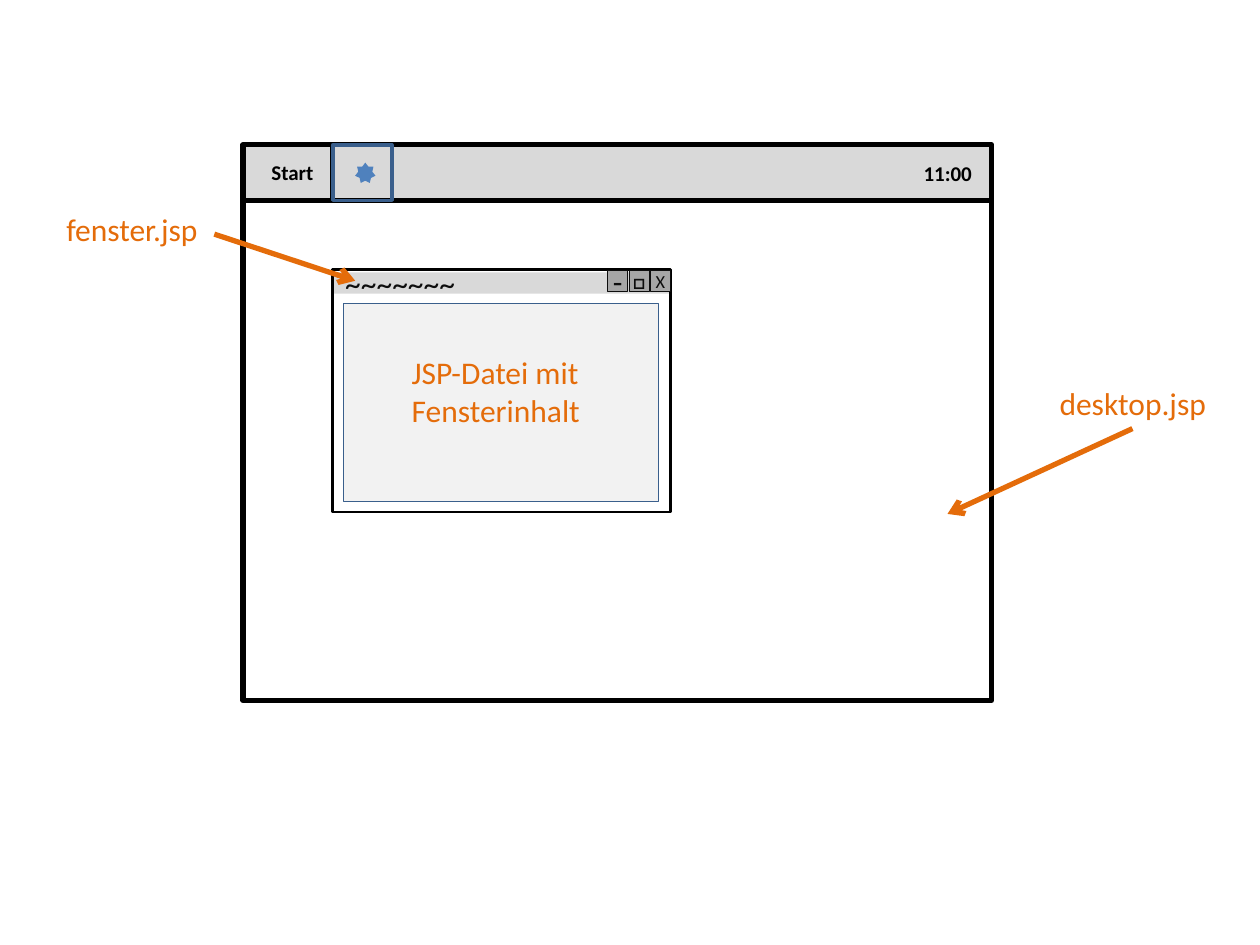
"""Draw a desktop mock-up whose parts are labelled with their JSP files."""
from dataclasses import dataclass
from typing import Optional

from lxml import etree
from pptx import Presentation
from pptx import util as u
from pptx.dml.color import RGBColor
from pptx.enum import shapes, text
from pptx.oxml import ns


@dataclass(frozen=True)
class Theme:
    font: str = "Calibri"
    black: str = "000000"
    ink: str = "0D0D0D"
    bar: str = "D9D9D9"
    button: str = "A6A6A6"
    content: str = "F2F2F2"
    blue: str = "4F81BD"
    outline: str = "3A5F8C"
    accent: str = "E46C0A"
    large: float = 18
    medium: float = 12
    small: float = 10.5
    heavy: float = 3
    thin: float = 0.5


THEME = Theme()


@dataclass(frozen=True)
class Box:
    left: float
    top: float
    width: float
    height: float

    def lengths(self) -> list:
        return [u.Cm(value) for value in (self.left, self.top, self.width, self.height)]


@dataclass(frozen=True)
class Words:
    lines: tuple
    size: float
    color: str
    bold: bool = False
    centered: bool = False


@dataclass(frozen=True)
class Panel:
    box: Box
    fill: Optional[str] = None
    line: Optional[str] = None
    weight: float = 0
    words: Optional[Words] = None
    inset: float = 0.25
    kind: shapes.MSO_SHAPE = shapes.MSO_SHAPE.RECTANGLE


@dataclass(frozen=True)
class Label:
    box: Box
    words: Words
    wrap: bool = True


@dataclass(frozen=True)
class Stroke:
    start: tuple
    end: tuple
    color: str = THEME.black
    arrow: bool = False


def write(frame, words: Words) -> None:
    for index, line in enumerate(words.lines):
        paragraph = frame.paragraphs[0] if index == 0 else frame.add_paragraph()
        paragraph.alignment = text.PP_ALIGN.CENTER if words.centered else text.PP_ALIGN.LEFT
        run = paragraph.add_run()
        run.text = line
        run.font.name = THEME.font
        run.font.size = u.Pt(words.size)
        run.font.bold = words.bold
        run.font.color.rgb = RGBColor.from_string(words.color)


def draw_panel(slide, panel: Panel) -> None:
    shape = slide.shapes.add_shape(panel.kind, *panel.box.lengths())
    shape.shadow.inherit = False
    if panel.fill:
        shape.fill.solid()
        shape.fill.fore_color.rgb = RGBColor.from_string(panel.fill)
    else:
        shape.fill.background()
    if panel.line:
        shape.line.color.rgb = RGBColor.from_string(panel.line)
        shape.line.width = u.Pt(panel.weight)
    else:
        shape.line.fill.background()
    if panel.words:
        frame = shape.text_frame
        frame.vertical_anchor = text.MSO_ANCHOR.MIDDLE
        frame.word_wrap = False
        frame.margin_left = frame.margin_right = u.Cm(panel.inset)
        frame.margin_top = frame.margin_bottom = 0
        write(frame, panel.words)


def draw_label(slide, label: Label) -> None:
    shape = slide.shapes.add_textbox(*label.box.lengths())
    shape.text_frame.word_wrap = label.wrap
    shape.text_frame.auto_size = text.MSO_AUTO_SIZE.SHAPE_TO_FIT_TEXT
    write(shape.text_frame, label.words)


def draw_stroke(slide, stroke: Stroke) -> None:
    points = [u.Cm(value) for value in stroke.start + stroke.end]
    connector = slide.shapes.add_connector(shapes.MSO_CONNECTOR.STRAIGHT, *points)
    connector.line.color.rgb = RGBColor.from_string(stroke.color)
    connector.line.width = u.Pt(THEME.heavy)
    if stroke.arrow:
        line = connector.line._get_or_add_ln()
        etree.SubElement(line, ns.qn("a:tailEnd"), type="arrow")
    etree.SubElement(connector._element.spPr, ns.qn("a:effectLst"))


def task_words(line: str) -> Words:
    return Words((line,), THEME.medium, THEME.black, bold=True, centered=True)


def note(*lines: str) -> Words:
    return Words(lines, THEME.large, THEME.accent)


def window_buttons() -> list:
    symbols = (("-", THEME.large, False), ("□", THEME.medium, True), ("X", THEME.small, False))
    return [
        Panel(Box(12.25 + 0.43 * index, 5.46, 0.41, 0.41), THEME.button, THEME.ink, THEME.thin,
              Words((symbol,), size, THEME.ink, bold, centered=True), inset=0)
        for index, (symbol, size, bold) in enumerate(symbols)
    ]


def elements() -> list:
    left, top, width, bar_height = 4.9, 2.92, 15.09, 1.12
    bar_bottom = top + bar_height
    window_left, window_width = 6.71, 6.81
    return [
        Panel(Box(left, top, width, bar_height), THEME.bar),
        Panel(Box(left, top, width, 11.2), line=THEME.black, weight=THEME.heavy),
        Stroke((window_left, bar_bottom), (window_left, top)),
        Label(Box(5.08, 3.1, 1.63, 0.76), task_words("Start")),
        Stroke((left, bar_bottom), (left + width, bar_bottom)),
        Label(Box(18.29, 3.12, 1.63, 0.76), task_words("11:00")),
        Panel(Box(window_left, top, 1.19, bar_height), line=THEME.outline, weight=2),
        Panel(Box(7.16, 3.28, 0.41, 0.41), THEME.blue, kind=shapes.MSO_SHAPE.STAR_7_POINT),
        Panel(Box(window_left, 5.49, window_width, 0.43), THEME.bar,
              words=Words(("~~~~~~~",), THEME.large, THEME.ink)),
        Panel(Box(window_left, 5.44, window_width, 4.88), line=THEME.black, weight=1.5),
        *window_buttons(),
        Label(Box(21.11, 7.62, 3.48, 1.02), note("desktop.jsp"), wrap=False),
        Stroke((4.32, 4.72), (7.16, 5.66), THEME.accent, arrow=True),
        Label(Box(1.09, 4.11, 3.2, 1.02), note("fenster.jsp")),
        Panel(Box(6.93, 6.12, 6.35, 3.99), THEME.content, THEME.outline, THEME.thin),
        Label(Box(8.05, 6.99, 4.06, 1.8), note("JSP-Datei mit ", "Fensterinhalt"), wrap=False),
        Stroke((22.83, 8.64), (19.1, 10.36), THEME.accent, arrow=True),
    ]


def main() -> None:
    presentation = Presentation()
    presentation.slide_width, presentation.slide_height = u.Cm(25.4), u.Cm(19.05)
    slide = presentation.slides.add_slide(presentation.slide_layouts.get_by_name("Blank"))
    draw = {Panel: draw_panel, Label: draw_label, Stroke: draw_stroke}
    for element in elements():
        draw[type(element)](slide, element)
    presentation.save("out.pptx")


main()
